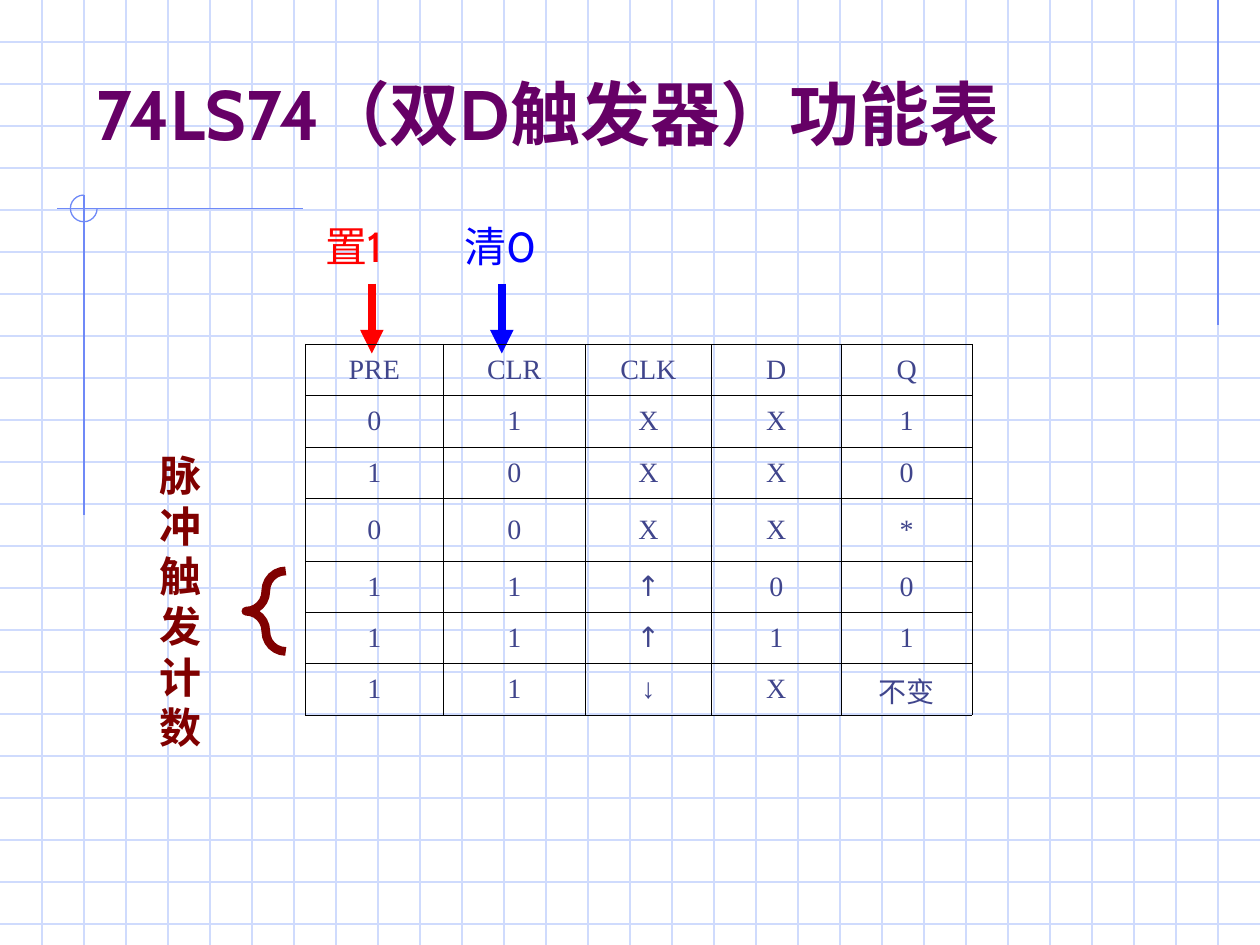
from dataclasses import dataclass

from lxml import etree
from pptx import Presentation
from pptx.dml.color import RGBColor
from pptx.enum.shapes import MSO_CONNECTOR, MSO_SHAPE
from pptx.enum.text import MSO_ANCHOR, PP_ALIGN
from pptx.oxml.ns import qn
from pptx.util import Pt


@dataclass(frozen=True)
class Theme:
    grid: str = "CFDBFD"
    accent: str = "6F89F7"
    title: str = "660066"
    preset: str = "FF0000"
    clear: str = "0000FF"
    pulse: str = "800000"
    cell: str = "40458C"
    border: str = "000000"
    title_size: int = 40
    label_size: int = 24
    cell_size: int = 16
    sans: str = "Cabin"
    serif: str = "Times New Roman"


theme = Theme()
WIDTH, HEIGHT, GRID_STEP = 720, 540, 24

prs = Presentation()
prs.slide_width, prs.slide_height = Pt(WIDTH), Pt(HEIGHT)
slide = prs.slides.add_slide(prs.slide_layouts[5])


def add_line(x1, y1, x2, y2, color, width=0.75, arrow=False):
    line = slide.shapes.add_connector(
        MSO_CONNECTOR.STRAIGHT, Pt(x1), Pt(y1), Pt(x2), Pt(y2))
    line.line.color.rgb = RGBColor.from_string(color)
    line.line.width = Pt(width)
    if arrow:
        etree.SubElement(line.line._get_or_add_ln(), qn("a:tailEnd"), type="triangle")
    etree.SubElement(line._element.spPr, qn("a:effectLst"))


def add_run(paragraph, text, size, color, font, bold=False):
    run = paragraph.add_run()
    run.text = text
    run.font.size, run.font.name, run.font.bold = Pt(size), font, bold
    run.font.color.rgb = RGBColor.from_string(color)


# Background grid
for y in range(GRID_STEP, HEIGHT, GRID_STEP):
    add_line(0, y, WIDTH, y, theme.grid)
for x in range(GRID_STEP, WIDTH, GRID_STEP):
    add_line(x, 0, x, HEIGHT, theme.grid)

# Corner rules
for ends in [(696, 0, 696, 186), (173, 119.25, 32.5, 119.25), (48, 111.5, 48, 294.5)]:
    add_line(*ends, theme.accent)

# Three-quarter ring where the rules cross, and the brace beside the clocked rows
ring = slide.shapes.add_shape(MSO_SHAPE.ARC, Pt(40.25), Pt(111.5), Pt(15.25), Pt(15.25))
ring.adjustments[0], ring.adjustments[1] = 0, 162
brace = slide.shapes.add_shape(
    MSO_SHAPE.LEFT_BRACE, Pt(140.5), Pt(326.25), Pt(22.75), Pt(46))
brace.adjustments[0] = 0.5
for outline, color, width in [(ring, theme.accent, 0.75), (brace, theme.pulse, 5)]:
    outline.shadow.inherit = False
    outline.fill.background()
    outline.line.color.rgb = RGBColor.from_string(color)
    outline.line.width = Pt(width)

# Title, raised above the grid
title = slide.shapes.title
title._element.getparent().append(title._element)
title.left, title.top, title.width, title.height = Pt(48), Pt(32), Pt(612), Pt(60)
title.text_frame.vertical_anchor = MSO_ANCHOR.BOTTOM
heading = title.text_frame.paragraphs[0]
heading.alignment = PP_ALIGN.LEFT
add_run(heading, "74LS74（双D触发器）功能表", theme.title_size, theme.title, theme.sans, True)

# Labels
labels = [
    ("置1", 178.75, 122.5, 68.5, 36, theme.preset, False),
    ("清0", 258.25, 122.5, 68.5, 36, theme.clear, False),
    ("脉冲触发计数", 84.25, 253.5, 45.25, 180, theme.pulse, True),
]
for text, left, top, width, height, color, bold in labels:
    label = slide.shapes.add_textbox(Pt(left), Pt(top), Pt(width), Pt(height))
    label.text_frame.word_wrap = True
    paragraph = label.text_frame.paragraphs[0]
    paragraph.space_before = Pt(15)
    add_run(paragraph, text, theme.label_size, color, theme.sans, bold)

# Arrows down to the PRE and CLR columns
for x, color in [(212.5, theme.preset), (286.75, theme.clear)]:
    add_line(x, 162, x, 202, color, 4.5, arrow=True)

# Function table
function_rows = [
    ["PRE", "CLR", "CLK", "D", "Q"],
    ["0", "1", "X", "X", "1"],
    ["1", "0", "X", "X", "0"],
    ["0", "0", "X", "X", "*"],
    ["1", "1", "↑", "0", "0"],
    ["1", "1", "↑", "1", "1"],
    ["1", "1", "↓", "X", "不变"],
]
column_widths = [78.75, 81.25, 72, 74.25, 74.75]
row_heights = [29.35, 29.35, 29.35, 35.75, 29.35, 29.35, 29.35]
function_table = slide.shapes.add_table(
    len(row_heights), len(column_widths), Pt(174.5), Pt(196.75),
    Pt(sum(column_widths)), Pt(sum(row_heights))).table
function_table.first_row = function_table.horz_banding = False
for column, width in zip(function_table.columns, column_widths):
    column.width = Pt(width)
for row, height, values in zip(function_table.rows, row_heights, function_rows):
    row.height = Pt(height)
    for cell, value in zip(row.cells, values):
        cell.vertical_anchor = MSO_ANCHOR.MIDDLE
        cell.margin_left = cell.margin_right = Pt(6)
        cell_properties = cell._tc.get_or_add_tcPr()
        for side in ("a:lnL", "a:lnR", "a:lnT", "a:lnB"):
            border = etree.SubElement(cell_properties, qn(side), w=str(Pt(0.45)))
            border_fill = etree.SubElement(border, qn("a:solidFill"))
            etree.SubElement(border_fill, qn("a:srgbClr"), val=theme.border)
        cell.fill.background()
        paragraph = cell.text_frame.paragraphs[0]
        paragraph.alignment = PP_ALIGN.CENTER
        font = theme.sans if value == "↑" else theme.serif
        add_run(paragraph, value, theme.cell_size, theme.cell, font)

prs.save("out.pptx")
